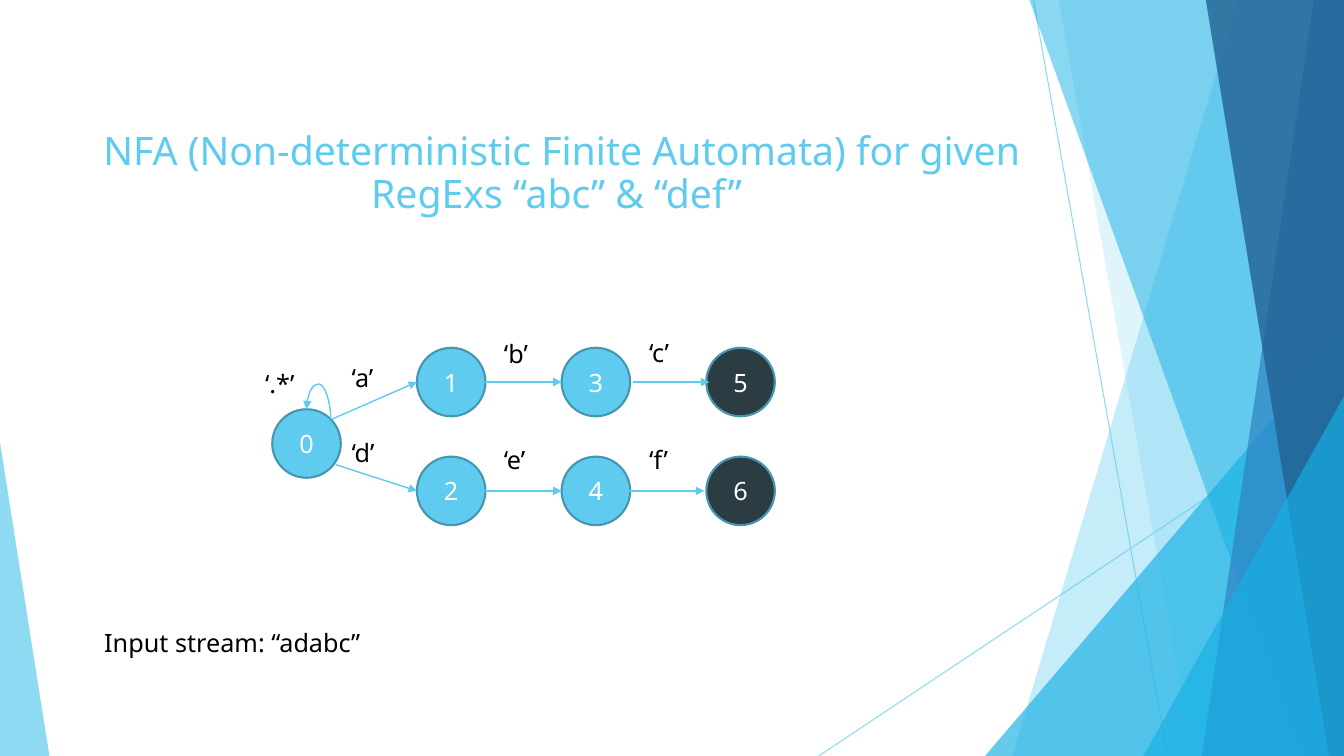
from lxml import etree
from pptx import Presentation
from pptx.dml.color import RGBColor
from pptx.enum.shapes import MSO_CONNECTOR as Link, MSO_SHAPE as Preset
from pptx.enum.text import MSO_ANCHOR as Anchor, PP_ALIGN as Align
from pptx.oxml.ns import qn
from pptx.util import Inches, Pt

WIDTH, HEIGHT = 13.33, 7.5
FONT = "Noto Sans"
SKY = RGBColor(0x5F, 0xCB, 0xEF)
AZURE = RGBColor(0x17, 0xB0, 0xE4)
BLUE = RGBColor(0x2E, 0x83, 0xC3)
NAVY = RGBColor(0x22, 0x62, 0x92)
RIM = RGBColor(0x46, 0x96, 0xB1)
SLATE = RGBColor(0x2C, 0x3C, 0x43)
WHITE = RGBColor(0xFF, 0xFF, 0xFF)
BLACK = RGBColor(0, 0, 0)

# Content
TITLE = "NFA (Non-deterministic Finite Automata) for given RegExs “abc” & “def” "
INPUT = " Input stream: “adabc”"

# Automaton grid: state -> (column, top, fill)
SIZE, FIRST_LEFT, STEP = 0.68, 2.7, 1.435
START_TOP, UPPER, LOWER = 4.06, 3.45, 4.53
STATES = {
    "0": (0, START_TOP, SKY),
    "1": (1, UPPER, SKY), "3": (2, UPPER, SKY), "5": (3, UPPER, SLATE),
    "2": (1, LOWER, SKY), "4": (2, LOWER, SKY), "6": (3, LOWER, SLATE),
}
# Forks leave state 0 from its rim: (start point, next state)
FORKS = [((3.29, 4.16), "1"), ((3.33, 4.61), "2")]
# Steps along a row: (from, to, shift to the right)
STEPS = [("1", "3", 0), ("3", "5", 0.03), ("2", "4", 0), ("4", "6", -0.02)]
# Transition labels: (text, left, top, width)
LABELS = [
    ("‘a’", 3.39, 3.55, 0.53), ("‘b’", 4.9, 3.31, 0.53), ("‘c’", 6.34, 3.3, 0.53),
    ("‘d’", 3.39, 4.29, 0.53), ("‘e’", 4.9, 4.36, 0.53), ("‘f’", 6.34, 4.36, 0.53),
    ("‘.*’", 2.53, 3.6, 0.61),
]

# Backdrop: bands reach the right edge (top x, bottom x, fill, opacity);
# triangles are (left, top, width, apex share, fill, opacity), down to the bottom edge
RAYS = [(10.25, 0, 11.58, HEIGHT), (WIDTH, 4.03, 8.12, HEIGHT)]
BACKDROP = [
    ("band", 12.28, 10.04, SKY, 36),
    ("band", 10.5, 11.83, SKY, 20),
    ("triangle", 9.77, 3.33, 3.56, 1, AZURE, 66),
    ("band", 10.21, 12.91, AZURE, 50),
    ("band", 13.03, 11.92, BLUE, 70),
    ("band", 11.96, 13.18, NAVY, 80),
    ("triangle", 11.34, 3.93, 1.99, 1, AZURE, 66),
    ("triangle", 0, 4.39, 0.49, 0, SKY, 70),
]

deck = Presentation()
deck.slide_width, deck.slide_height = Inches(WIDTH), Inches(HEIGHT)
page = deck.slides.add_slide(deck.slide_layouts[6])
shapes = page.shapes


def set_opacity(fill_parent, percent):
    color = fill_parent.find(".//" + qn("a:srgbClr"))
    etree.SubElement(color, qn("a:alpha"), val=str(percent * 1000))


def paint(shape, color, opacity=100):
    shape.shadow.inherit = False
    shape.fill.solid()
    shape.fill.fore_color.rgb = color
    if opacity < 100:
        set_opacity(shape.fill._xPr.find(qn("a:solidFill")), opacity)


def draw_line(x1, y1, x2, y2, weight, kind=Link.STRAIGHT, arrow=True):
    line = shapes.add_connector(kind, *map(Inches, (x1, y1, x2, y2)))
    line.line.color.rgb = SKY
    line.line.width = Pt(weight)
    properties = line._element.spPr
    if arrow:
        etree.SubElement(properties.find(qn("a:ln")), qn("a:tailEnd"), type="triangle")
    etree.SubElement(properties, qn("a:effectLst"))
    return line


def write(shape, text, size, color, align=Align.LEFT):
    frame = shape.text_frame
    frame.word_wrap = True
    para = frame.paragraphs[0]
    para.alignment = align
    span = para.add_run()
    span.text = text
    span.font.size, span.font.name = Pt(size), FONT
    span.font.color.rgb = color
    return para


def add_text(text, left, top, width, height, size, color, align=Align.LEFT):
    box = shapes.add_textbox(*map(Inches, (left, top, width, height)))
    return write(box, text, size, color, align)


def left_of(state):
    return FIRST_LEFT + STATES[state][0] * STEP


def middle_of(state):
    return STATES[state][1] + SIZE / 2


# Backdrop
for ray in RAYS:
    line = draw_line(*ray, 0.75, arrow=False)
    set_opacity(line._element.spPr.find(qn("a:ln")), 70)

for kind, *numbers, color, opacity in BACKDROP:
    if kind == "band":
        top_x, bottom_x = numbers
        builder = shapes.build_freeform(Inches(top_x), 0)
        corners = [(WIDTH, 0), (WIDTH, HEIGHT), (bottom_x, HEIGHT)]
        builder.add_line_segments([(Inches(x), Inches(y)) for x, y in corners])
        facet = builder.convert_to_shape()
    else:
        left, top, width, apex = numbers
        facet = shapes.add_shape(Preset.ISOSCELES_TRIANGLE,
                                 *map(Inches, (left, top, width, HEIGHT - top)))
        facet.adjustments[0] = apex
    paint(facet, color, opacity)
    facet.line.fill.background()

# Title
heading = add_text(TITLE, 0.87, 1.26, 9.4, 1.11, 28, SKY, Align.CENTER)
heading.line_spacing = 0.9

# States
for name, (column, top, color) in STATES.items():
    circle = shapes.add_shape(Preset.OVAL,
                              *map(Inches, (left_of(name), top, SIZE, SIZE)))
    paint(circle, color)
    circle.line.color.rgb = RIM
    circle.line.width = Pt(1.5)
    circle.text_frame.vertical_anchor = Anchor.MIDDLE
    write(circle, name, 18, WHITE, Align.CENTER)

# Transitions
for start, target in FORKS:
    draw_line(*start, left_of(target), middle_of(target), 1)
for source, target, shift in STEPS:
    draw_line(left_of(source) + SIZE + shift, middle_of(source),
              left_of(target) + shift, middle_of(target), 1)

# Loop on state 0: a curve turned a quarter left, bulging above the circle
loop = draw_line(3.11, 4.23, 3.21, 3.99, 1, Link.CURVE)
loop._element.spPr.find(qn("a:xfrm")).set("rot", str(270 * 60000))
geometry = loop._element.spPr.find(qn("a:prstGeom"))
guides = geometry.find(qn("a:avLst"))
if guides is None:
    guides = etree.SubElement(geometry, qn("a:avLst"))
etree.SubElement(guides, qn("a:gd"), name="adj1", fmla="val 350100")

# Labels and input
for text, left, top, width in LABELS:
    add_text(text, left, top, width, 0.4, 18, BLACK)
add_text(INPUT, 0.87, 6.17, 6.42, 0.4, 18, BLACK)

deck.save("out.pptx")
